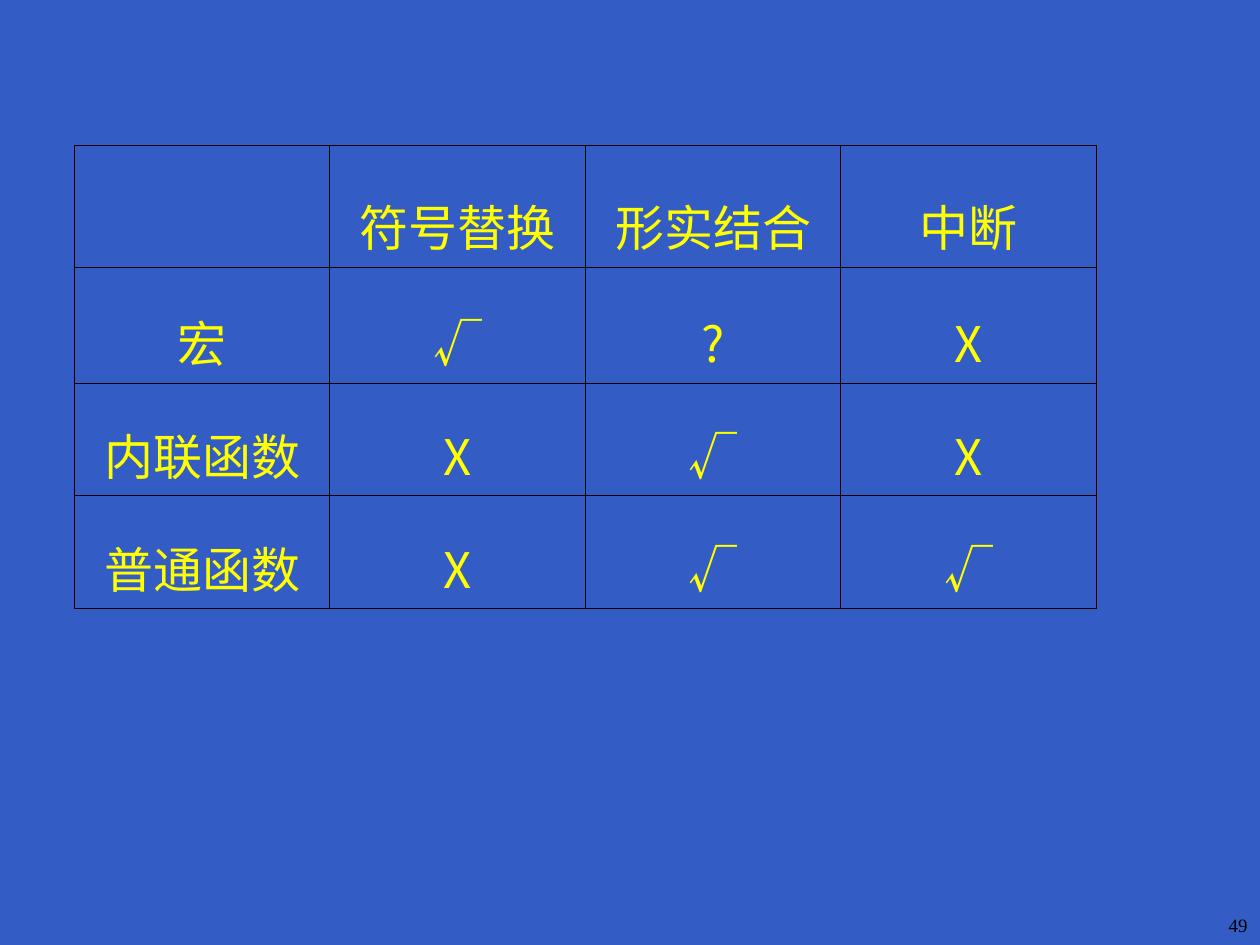
from lxml import etree
from pptx import Presentation
from pptx.dml.color import RGBColor
from pptx.enum import text
from pptx.oxml import ns
from pptx.util import Pt

SANS, SERIF = "Noto Sans CJK SC", "Times New Roman"
BLUE, YELLOW, BLACK = "335CC5", "FFFF00", "000000"
ROWS = [
    ["", "符号替换", "形实结合", "中断"],
    ["宏", "√", "?", "Х"],
    ["内联函数", "Х", "√", "Х"],
    ["普通函数", "Х", "√", "√"],
]
ROW_HEIGHTS = [69.84, 66.24, 64.4, 64.4]


def paint(target, colour):
    """Give a fill or font a solid colour."""
    if hasattr(target, "solid"):
        target.solid()
        target.fore_color.rgb = RGBColor.from_string(colour)
    else:
        target.color.rgb = RGBColor.from_string(colour)


def add_span(para, words, font, size, colour):
    """Add one styled run, with the font for Asian letters too."""
    span = para.add_run()
    span.text = words
    span.font.size = Pt(size)
    span.font.name = font
    paint(span.font, colour)
    etree.SubElement(span.font._element, ns.qn("a:ea"), typeface=font)


def add_borders(cell, colour, width):
    """Draw a solid line on the four sides of a cell."""
    properties = cell._tc.get_or_add_tcPr()
    for side in ("lnL", "lnR", "lnT", "lnB"):
        line = etree.SubElement(properties, ns.qn("a:" + side), w=str(Pt(width)))
        fill = etree.SubElement(line, ns.qn("a:solidFill"))
        etree.SubElement(fill, ns.qn("a:srgbClr"), val=colour)


def fill_cell(cell, words):
    """Style a cell and centre its words at the bottom."""
    add_borders(cell, BLACK, 0.45)
    cell.fill.background()
    cell.vertical_anchor = text.MSO_ANCHOR.BOTTOM
    cell.margin_left = cell.margin_right = Pt(0.72)
    cell.margin_top = cell.margin_bottom = Pt(3.6)
    para = cell.text_frame.paragraphs[0]
    para.alignment = text.PP_ALIGN.CENTER
    if words:
        add_span(para, words, SANS, 28, YELLOW)


def add_comparison(page, left, top, width):
    """Build the table comparing macros and functions."""
    frame = page.shapes.add_table(
        len(ROWS), len(ROWS[0]), Pt(left), Pt(top), Pt(width), Pt(sum(ROW_HEIGHTS)))
    table = frame.table
    table.first_row = table.horz_banding = False
    for column in table.columns:
        column.width = Pt(width / len(ROWS[0]))
    for r, (height, row) in enumerate(zip(ROW_HEIGHTS, ROWS)):
        table.rows[r].height = Pt(height)
        for c, words in enumerate(row):
            fill_cell(table.cell(r, c), words)


def add_page_number(page, left, top, width, height):
    """Place the page number in the bottom right corner."""
    box = page.shapes.add_textbox(Pt(left), Pt(top), Pt(width), Pt(height))
    frame = box.text_frame
    frame.word_wrap = True
    frame.vertical_anchor = text.MSO_ANCHOR.MIDDLE
    para = frame.paragraphs[0]
    para.alignment = text.PP_ALIGN.RIGHT
    para.line_spacing = 0.8
    add_span(para, "49", SERIF, 10.8, BLACK)


def main():
    """Build and save the deck."""
    deck = Presentation()
    deck.slide_width, deck.slide_height = Pt(720), Pt(540)
    page = deck.slides.add_slide(deck.slide_layouts[6])
    paint(page.background.fill, BLUE)
    add_page_number(page, 683.3, 519.8, 36.7, 20.2)
    add_comparison(page, 42.5, 82.9, 584)
    deck.save("out.pptx")


if __name__ == "__main__":
    main()
